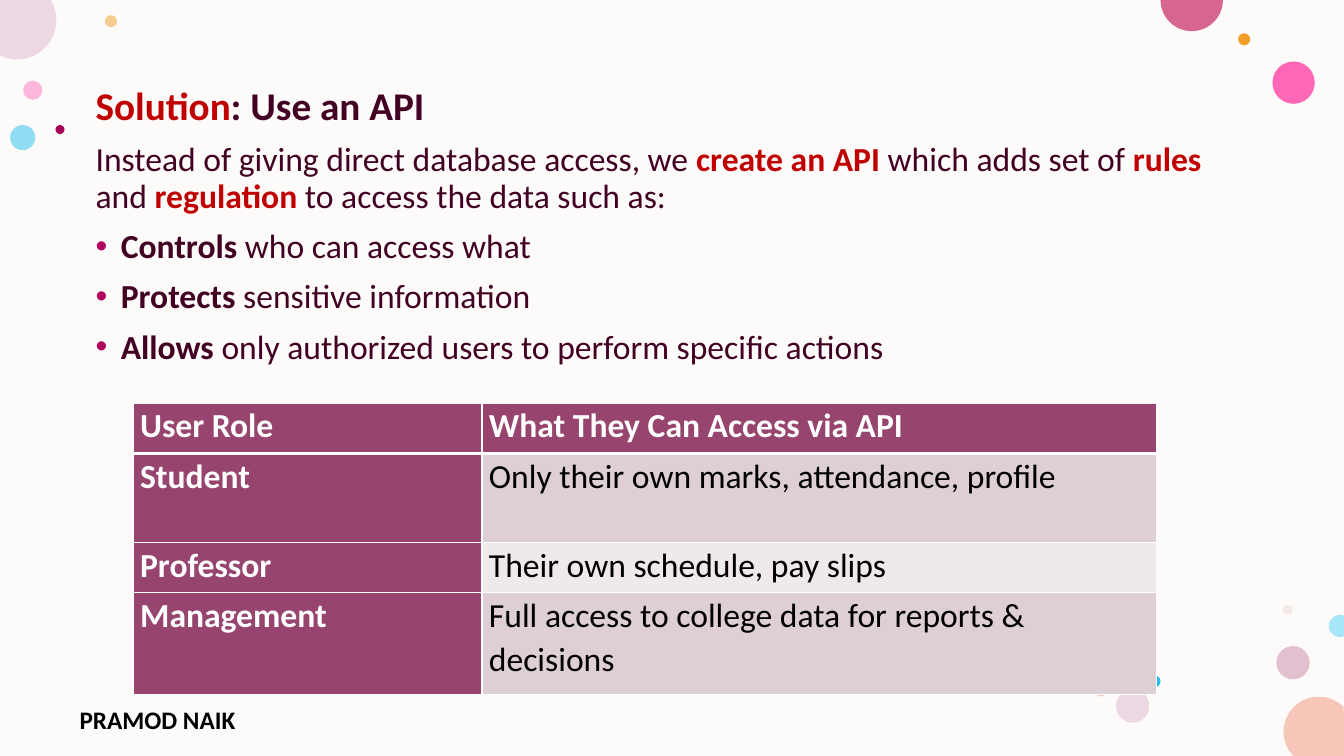
"""Build the slide on using an API, with its access table."""
import math
import pptx
import pptx.util
import pptx.dml.color
import pptx.enum.shapes
import pptx.oxml
import pptx.oxml.ns
from pptx.util import Inches

WIDE, HIGH = 13.33, 7.5
FONT = "Calibri"
INK = {"paper": "FDFBF9", "plum": "420023", "red": "C00000", "bullet": "B1005E",
       "head": "97446E", "odd": "DDCFD5", "even": "EFE9EB",
       "white": "FFFFFF", "black": "000000", "pink": "FF75BD", "gold": "F39E29",
       "mauve": "C987A8", "sky": "24BEEE", "hot": "FF2F9C", "dust": "E3BEBE",
       "pale": "EDD7E2", "peach": "F6C7B9", "rose": "D6658F", "wine": "A40056",
       "ice": "A7E5F8"}

DOTS = [
    (0.23, 0.8, 0.19, "pink", 50),
    (1.04, 0.15, 0.12, "gold", 50),
    (12.66, 6.41, 0.33, "mauve", 50),
    (0.1, 1.24, 0.25, "sky", 50),
    (12.62, 0.61, 0.42, "hot", 72),
    (12.28, 0.33, 0.12, "gold", 100),
    (12.72, 6, 0.1, "dust", 28),
    (11.39, 6.7, 0.12, "sky", 100),
    (11.07, 6.84, 0.33, "pale", 100),
    (10.86, 6.79, 0.12, "peach", 100),
    (0.55, 1.24, 0.09, "wine", 100),
]

ARCS = [
    (13.08, 7.26, 0.35, -45, -224, [(WIDE, HIGH)], "peach"),
    (0.17, 0.2, 0.39, -31, 116, [(0, 0)], "pale"),
    (11.82, 0, 0.31, 0, 180, [], "rose"),
    (13.29, 6.21, 0.11, -68, -292, [], "ice"),
]
STEPS = 14

BODY = [
    (28, False, [("Solution", "red", True), (": Use an API", "plum", True)]),
    (24, False, [("Instead of giving direct database access, we ", "plum", False),
                 ("create an API ", "red", True),
                 ("which adds set of ", "plum", False),
                 ("rules", "red", True),
                 (" and ", "plum", False),
                 ("regulation", "red", True),
                 (" to access the data such as:", "plum", False)]),
    (24, True, [("Controls", "plum", True), (" who can access what", "plum", False)]),
    (24, True, [("Protects", "plum", True), (" sensitive information", "plum", False)]),
    (24, True, [("Allows", "plum", True),
                (" only authorized users to perform specific actions", "plum", False)]),
]

ROLES = [
    ("User Role", "What They Can Access via API"),
    ("Student", "Only their own marks, attendance, profile"),
    ("Professor", "Their own schedule, pay slips"),
    ("Management", "Full access to college data for reports & decisions"),
]
COLS = [3.46, 6.69]
ROWS = [0.5, 0.88, 0.5, 1.01]


def tint(name):
    return pptx.dml.color.RGBColor.from_string(INK[name])


def add_xml(parent, text):
    space = pptx.oxml.ns.nsdecls("a")
    parent.append(pptx.oxml.parse_xml(text.replace(">", f" {space}>", 1)))


def paint(shape, name, alpha=100):
    shape.shadow.inherit = False
    shape.line.fill.background()
    shape.fill.solid()
    shape.fill.fore_color.rgb = tint(name)
    if alpha < 100:
        color = shape.fill._xPr.find(".//" + pptx.oxml.ns.qn("a:srgbClr"))
        add_xml(color, f'<a:alpha val="{alpha * 1000}"></a:alpha>')


def add_dot(shapes, left, top, size, name, alpha):
    kind = pptx.enum.shapes.MSO_SHAPE.OVAL
    dot = shapes.add_shape(kind, *map(Inches, (left, top, size, size)))
    paint(dot, name, alpha)


def add_arc(shapes, mid_x, mid_y, radius, start, end, corners, name):
    rim = []
    for step in range(STEPS + 1):
        turn = math.radians(start + (end - start) * step / STEPS)
        rim.append((min(max(mid_x + radius * math.cos(turn), 0), WIDE),
                    min(max(mid_y + radius * math.sin(turn), 0), HIGH)))
    spots = [tuple(map(Inches, spot)) for spot in rim + corners]
    pen = shapes.build_freeform(*spots[0])
    pen.add_line_segments(spots[1:], close=True)
    paint(pen.convert_to_shape(), name)


def set_font(font, size, name, bold):
    font.name, font.size, font.bold = FONT, pptx.util.Pt(size), bold
    font.color.rgb = tint(name)


def add_box(shapes, *place):
    frame = shapes.add_textbox(*map(Inches, place)).text_frame
    frame.word_wrap = True
    return frame


def add_body(shapes):
    frame = add_box(shapes, 0.85, 0.81, 11.66, 5.95)
    for spot, (size, dotted, parts) in enumerate(BODY):
        para = frame.add_paragraph() if spot else frame.paragraphs[0]
        para.line_spacing = 0.9
        para.space_before = pptx.util.Pt(10)
        for words, name, bold in parts:
            run = para.add_run()
            run.text = words
            set_font(run.font, size, name, bold)
        if dotted:
            props = para._p.get_or_add_pPr()
            props.set("marL", str(Inches(0.25)))
            props.set("indent", str(-Inches(0.25)))
            add_xml(props, f'<a:buClr><a:srgbClr val="{INK["bullet"]}"/></a:buClr>')
            add_xml(props, '<a:buFont typeface="Arial"></a:buFont>')
            add_xml(props, '<a:buChar char="•"></a:buChar>')


def add_table(shapes):
    place = map(Inches, (1.32, 4, sum(COLS), sum(ROWS)))
    table = shapes.add_table(len(ROWS), len(COLS), *place).table
    for col, width in zip(table.columns, COLS):
        col.width = Inches(width)
    for at, (row, height) in enumerate(zip(table.rows, ROWS)):
        row.height = Inches(height)
        for side, cell in enumerate(row.cells):
            strong = at == 0 or side == 0
            cell.text = ROLES[at][side]
            cell.margin_left = cell.margin_right = Inches(0.07)
            cell.margin_top = cell.margin_bottom = 0
            para = cell.text_frame.paragraphs[0]
            para.line_spacing = 1.07
            para.space_after = pptx.util.Pt(8)
            set_font(para.font, 24, "white" if strong else "black", strong)
            for edge in "LRTB":
                thick = (at, edge) in ((0, "B"), (1, "T"))
                width = pptx.util.Pt(3 if thick else 1)
                add_xml(cell._tc.get_or_add_tcPr(),
                        f'<a:ln{edge} w="{width}"><a:solidFill><a:srgbClr '
                        f'val="{INK["white"]}"/></a:solidFill></a:ln{edge}>')
            cell.fill.solid()
            cell.fill.fore_color.rgb = tint(
                "head" if strong else "odd" if at % 2 else "even")


def main():
    deck = pptx.Presentation()
    deck.slide_width, deck.slide_height = Inches(WIDE), Inches(HIGH)
    shapes = deck.slides.add_slide(deck.slide_layouts[6]).shapes
    paper = shapes.add_shape(pptx.enum.shapes.MSO_SHAPE.RECTANGLE, 0, 0,
                             deck.slide_width, deck.slide_height)
    paint(paper, "paper")
    for dot in DOTS:
        add_dot(shapes, *dot)
    for arc in ARCS:
        add_arc(shapes, *arc)
    owner = add_box(shapes, 0.69, 6.94, 2.45, 0.32).paragraphs[0]
    owner.text = "PRAMOD NAIK"
    set_font(owner.font, 18, "black", True)
    add_body(shapes)
    add_table(shapes)
    deck.save("out.pptx")


if __name__ == "__main__":
    main()
